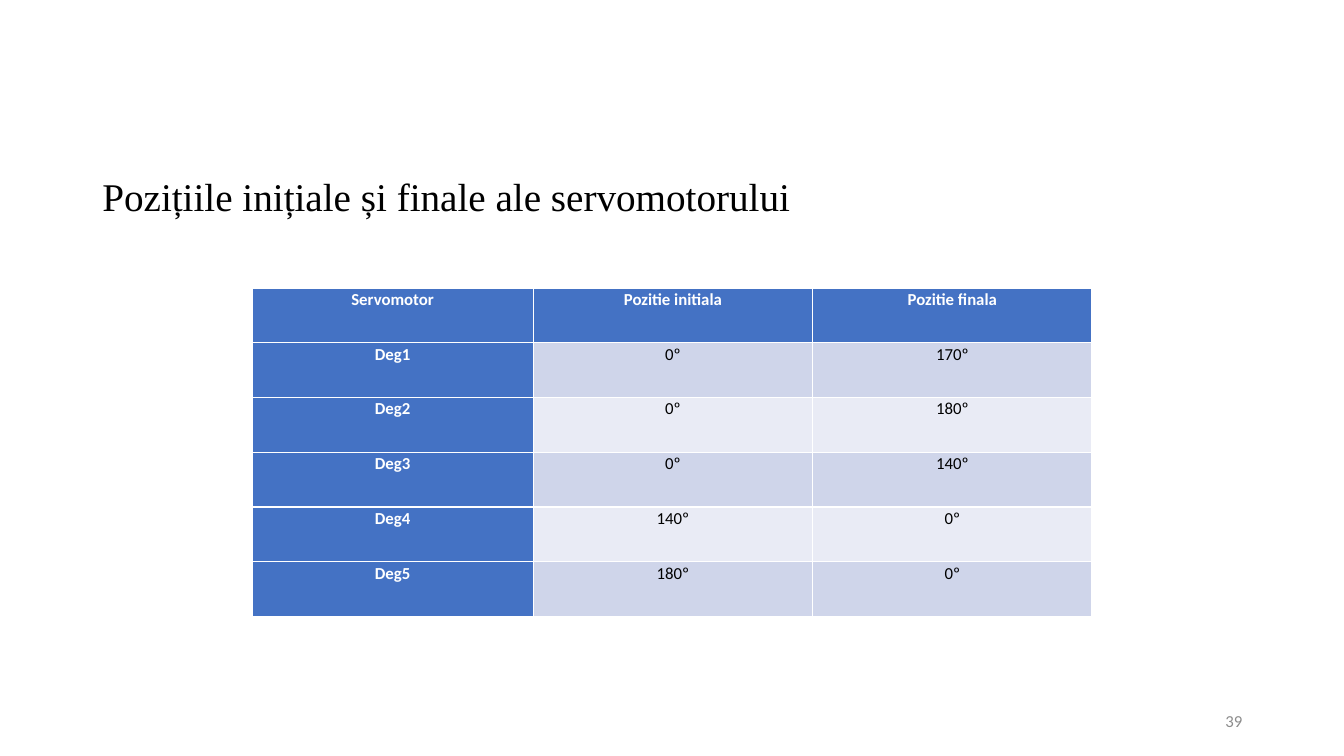
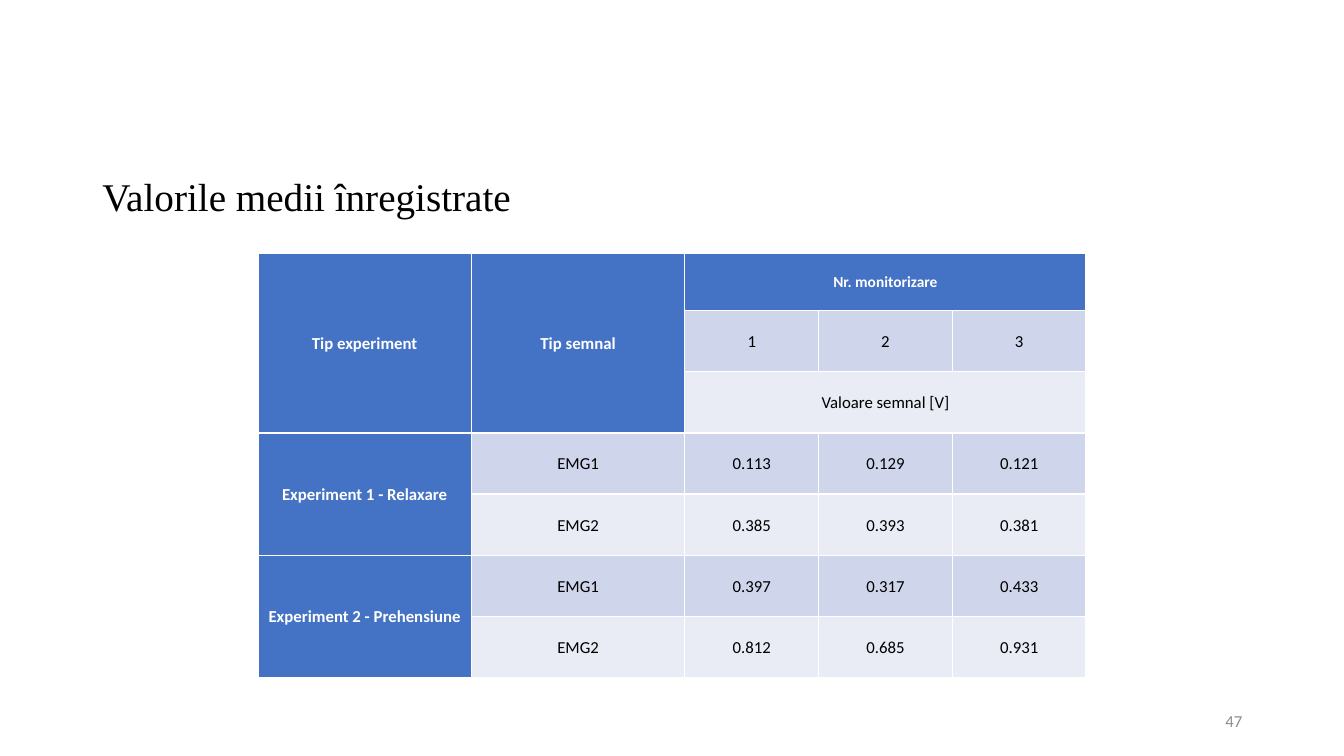
from dataclasses import dataclass

from pptx import Presentation
from pptx.dml.color import RGBColor
from pptx.enum.text import MSO_ANCHOR, PP_ALIGN
from pptx.util import Cm, Pt

TOP, MIDDLE = MSO_ANCHOR.TOP, MSO_ANCHOR.MIDDLE
LEFT, CENTER, RIGHT = PP_ALIGN.LEFT, PP_ALIGN.CENTER, PP_ALIGN.RIGHT

BLACK = RGBColor(0x00, 0x00, 0x00)
WHITE = RGBColor(0xFF, 0xFF, 0xFF)
GRAY = RGBColor(0x8C, 0x8C, 0x8C)
BLUE = RGBColor(0x44, 0x72, 0xC4)
BANDS = RGBColor(0xE9, 0xEB, 0xF5), RGBColor(0xCF, 0xD5, 0xEA)

INSETS = {
    "margin_left": Cm(0.19),
    "margin_right": Cm(0.19),
    "margin_top": 0,
    "margin_bottom": 0,
}


@dataclass(frozen=True)
class Style:
    font: str
    size: int
    color: RGBColor
    align: int
    bold: bool = False
    lines: float = 1.0


@dataclass(frozen=True)
class Box:
    left: float
    top: float
    width: float
    height: float
    anchor: int
    style: Style


@dataclass(frozen=True)
class Grid:
    left: float
    top: float
    cols: list[float]
    rows: list[float]
    cells: list[list[str]]
    anchor: int
    spans: tuple[tuple[int, int, int, int], ...] = ()
    sizes: tuple[tuple[str, int], ...] = ()


@dataclass(frozen=True)
class Page:
    title: str
    number: str
    grid: Grid


TITLE = Box(2.33, 4.35, 29.21, 12.09, TOP,
            Style("Times New Roman", 28, BLACK, LEFT, lines=0.9))
NUMBER = Box(23.94, 17.65, 7.62, 1.01, MIDDLE,
             Style("Calibri", 12, GRAY, RIGHT))

PAGES = [
    Page(
        "Pozițiile inițiale și finale ale servomotorului",
        "39",
        Grid(
            6.35, 7.26, [7.09, 7.04, 7.04], [1.38] * 6,
            [
                ["Servomotor", "Pozitie initiala", "Pozitie finala"],
                ["Deg1", "0º", "170º"],
                ["Deg2", "0º", "180º"],
                ["Deg3", "0º", "140º"],
                ["Deg4", "140º", "0º"],
                ["Deg5", "180º", "0º"],
            ],
            TOP,
        ),
    ),
    Page(
        "Valorile medii înregistrate",
        "47",
        Grid(
            6.5, 6.38, [5.38] * 2 + [3.37] * 3, [1.45] + [1.54] * 6,
            [
                ["Tip experiment", "Tip semnal", "Nr. monitorizare", "", ""],
                ["", "", "1", "2", "3"],
                ["", "", "Valoare semnal [V]", "", ""],
                ["Experiment 1 - Relaxare", "EMG1", "0.113", "0.129", "0.121"],
                ["", "EMG2", "0.385", "0.393", "0.381"],
                ["Experiment 2 - Prehensiune", "EMG1", "0.397", "0.317", "0.433"],
                ["", "EMG2", "0.812", "0.685", "0.931"],
            ],
            MIDDLE,
            spans=((0, 0, 2, 0), (0, 1, 2, 1), (0, 2, 0, 4),
                   (2, 2, 2, 4), (3, 0, 4, 0), (5, 0, 6, 0)),
            sizes=(("Nr. monitorizare", 11),),
        ),
    ),
]


def apply(item, values: dict) -> None:
    for name, value in values.items():
        setattr(item, name, value)


def write(frame, text: str, style: Style) -> None:
    para = frame.paragraphs[0]
    apply(para, {"alignment": style.align, "line_spacing": style.lines})
    run = para.add_run()
    run.text = text
    apply(run.font, {"name": style.font, "size": Pt(style.size),
                     "bold": style.bold})
    run.font.color.rgb = style.color


def label(slide, box: Box, text: str) -> None:
    shape = slide.shapes.add_textbox(
        Cm(box.left), Cm(box.top), Cm(box.width), Cm(box.height))
    frame = shape.text_frame
    apply(frame, {"word_wrap": True, "vertical_anchor": box.anchor})
    write(frame, text, box.style)


def table(slide, grid: Grid) -> None:
    frame = slide.shapes.add_table(
        len(grid.rows), len(grid.cols), Cm(grid.left), Cm(grid.top),
        Cm(sum(grid.cols)), Cm(sum(grid.rows)))
    body = frame.table
    body.first_col = True
    for col, width in zip(body.columns, grid.cols):
        col.width = Cm(width)
    for row, height in zip(body.rows, grid.rows):
        row.height = Cm(height)
    for top, left, bottom, right in grid.spans:
        body.cell(top, left).merge(body.cell(bottom, right))

    sizes = dict(grid.sizes)
    for i, texts in enumerate(grid.cells):
        for j, text in enumerate(texts):
            cell = body.cell(i, j)
            head = i == 0 or j == 0
            apply(cell, {**INSETS, "vertical_anchor": grid.anchor})
            cell.fill.solid()
            cell.fill.fore_color.rgb = BLUE if head else BANDS[i % 2]
            if text:
                color = WHITE if head else BLACK
                write(cell.text_frame, text, Style(
                    "Calibri", sizes.get(text, 12), color, CENTER, head, 1.07))


def main() -> None:
    deck = Presentation()
    apply(deck, {"slide_width": Cm(33.87), "slide_height": Cm(19.05)})
    for page in PAGES:
        slide = deck.slides.add_slide(deck.slide_layouts[6])
        label(slide, TITLE, page.title)
        label(slide, NUMBER, page.number)
        table(slide, page.grid)
    deck.save("out.pptx")


if __name__ == "__main__":
    main()
